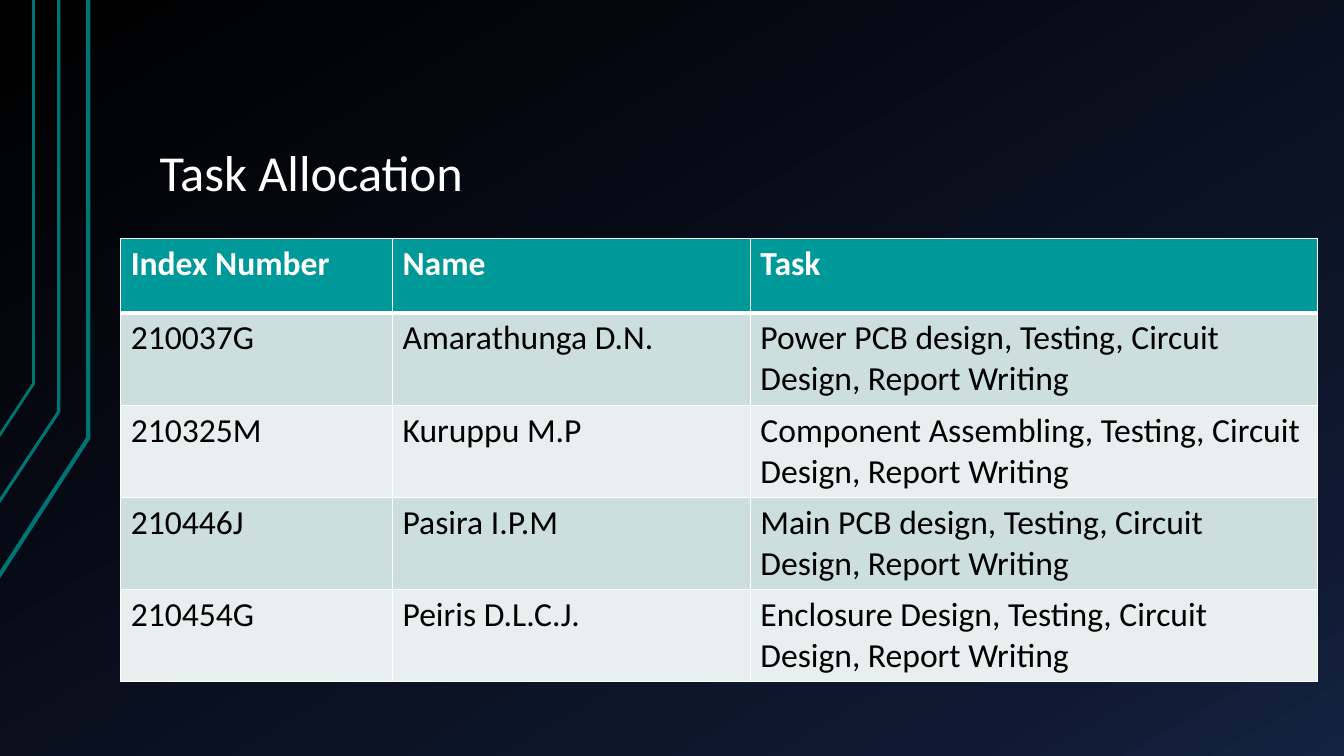
from copy import deepcopy

from lxml.etree import SubElement
from pptx import Presentation
from pptx.dml.color import RGBColor
from pptx.enum.text import MSO_ANCHOR, MSO_AUTO_SIZE, PP_ALIGN
from pptx.oxml.ns import qn
from pptx.util import Pt

TITLE = "Task Allocation"
HEADINGS = ("Index Number", "Name", "Task")
SHARED_TASKS = "Testing, Circuit Design, Report Writing"
MEMBERS = [
    ("210037G", "Amarathunga D.N.", "Power PCB design"),
    ("210325M", "Kuruppu M.P", "Component Assembling"),
    ("210446J", "Pasira I.P.M", "Main PCB design"),
    ("210454G", "Peiris D.L.C.J.", "Enclosure Design"),
]
FONT = "Calibri"
WHITE, BLACK, TEAL, DARK_TEAL = "FFFFFF", "000000", "009999", "007373"
BANDS = ("CCDEDE", "E7EFEF")
BACKDROP = [(0, BLACK), (0.85, "0F1931"), (1, "142242")]
# Left end (x, y), bend (x, y), line width
BENT_LINES = [
    ((-0.7, 411.8), (63.4, 313.2), 3),
    ((-1.4, 359.3), (41.8, 293.8), 2.25),
    ((-0.7, 312.5), (24.5, 274.3), 2),
]
COLUMN_WIDTHS = (194.2, 255.6, 405)
HEADER_HEIGHT, ROW_HEIGHT = 53.3, 65.8
TABLE_LEFT, TABLE_TOP = 86.2, 170.3


def color(value):
    return RGBColor.from_string(value)


def add_run(paragraph, text, size, text_color, bold=False):
    run = paragraph.add_run()
    run.text = text
    run.font.name, run.font.size, run.font.bold = FONT, Pt(size), bold
    run.font.color.rgb = color(text_color)


def paint_backdrop(slide):
    fill = slide.background.fill
    fill.gradient()
    fill.gradient_angle = 300
    first_stop = fill.gradient_stops[0]._element
    first_stop.addnext(deepcopy(first_stop))
    for stop, (position, value) in zip(fill.gradient_stops, BACKDROP):
        stop.position = position
        stop.color.rgb = color(value)


def add_bent_line(slide, end, bend, width):
    builder = slide.shapes.build_freeform(*end, scale=Pt(1))
    builder.add_line_segments([bend, (bend[0], 0)], close=False)
    bent_line = builder.convert_to_shape()
    bent_line.shadow.inherit = False
    bent_line.fill.background()
    bent_line.line.color.rgb = color(DARK_TEAL)
    bent_line.line.width = Pt(width)


def add_title(slide):
    title = slide.shapes.title
    title.left, title.top, title.width, title.height = Pt(104.4), Pt(52.6), Pt(815.8), Pt(96.5)
    frame = title.text_frame
    frame.auto_size = MSO_AUTO_SIZE.NONE
    frame.word_wrap = True
    frame.vertical_anchor = MSO_ANCHOR.BOTTOM
    frame.margin_left = frame.margin_right = Pt(9.6)
    frame.margin_top = frame.margin_bottom = Pt(4.8)
    paragraph = frame.paragraphs[0]
    paragraph.alignment = PP_ALIGN.LEFT
    paragraph.line_spacing = 0.9
    add_run(paragraph, TITLE, 36, WHITE)


def set_borders(cell, top=1, bottom=1):
    properties = cell._tc.get_or_add_tcPr()
    widths = {"a:lnL": 1, "a:lnR": 1, "a:lnT": top, "a:lnB": bottom}
    for tag, width in widths.items():
        border = SubElement(properties, qn(tag), w=str(Pt(width)))
        SubElement(SubElement(border, qn("a:solidFill")), qn("a:srgbClr"), val=WHITE)


def add_task_table(slide):
    rows = [HEADINGS] + [
        (index, name, f"{own_task}, {SHARED_TASKS}") for index, name, own_task in MEMBERS
    ]
    heights = [HEADER_HEIGHT] + [ROW_HEIGHT] * len(MEMBERS)
    task_table = slide.shapes.add_table(
        len(rows), len(HEADINGS), Pt(TABLE_LEFT), Pt(TABLE_TOP),
        Pt(sum(COLUMN_WIDTHS)), Pt(sum(heights)),
    ).table
    for column, width in zip(task_table.columns, COLUMN_WIDTHS):
        column.width = Pt(width)
    for r, (texts, height) in enumerate(zip(rows, heights)):
        task_table.rows[r].height = Pt(height)
        header = r == 0
        for c, text in enumerate(texts):
            cell = task_table.cell(r, c)
            set_borders(cell, top=3 if r == 1 else 1, bottom=3 if header else 1)
            cell.fill.solid()
            cell.fill.fore_color.rgb = color(TEAL if header else BANDS[(r - 1) % 2])
            add_run(cell.text_frame.paragraphs[0], text, 24, WHITE if header else BLACK, header)


def main():
    deck = Presentation()
    deck.slide_width, deck.slide_height = Pt(960), Pt(540)
    slide = deck.slides.add_slide(deck.slide_layouts[5])
    paint_backdrop(slide)
    for end, bend, width in BENT_LINES:
        add_bent_line(slide, end, bend, width)
    add_title(slide)
    add_task_table(slide)
    deck.save("out.pptx")


if __name__ == "__main__":
    main()
